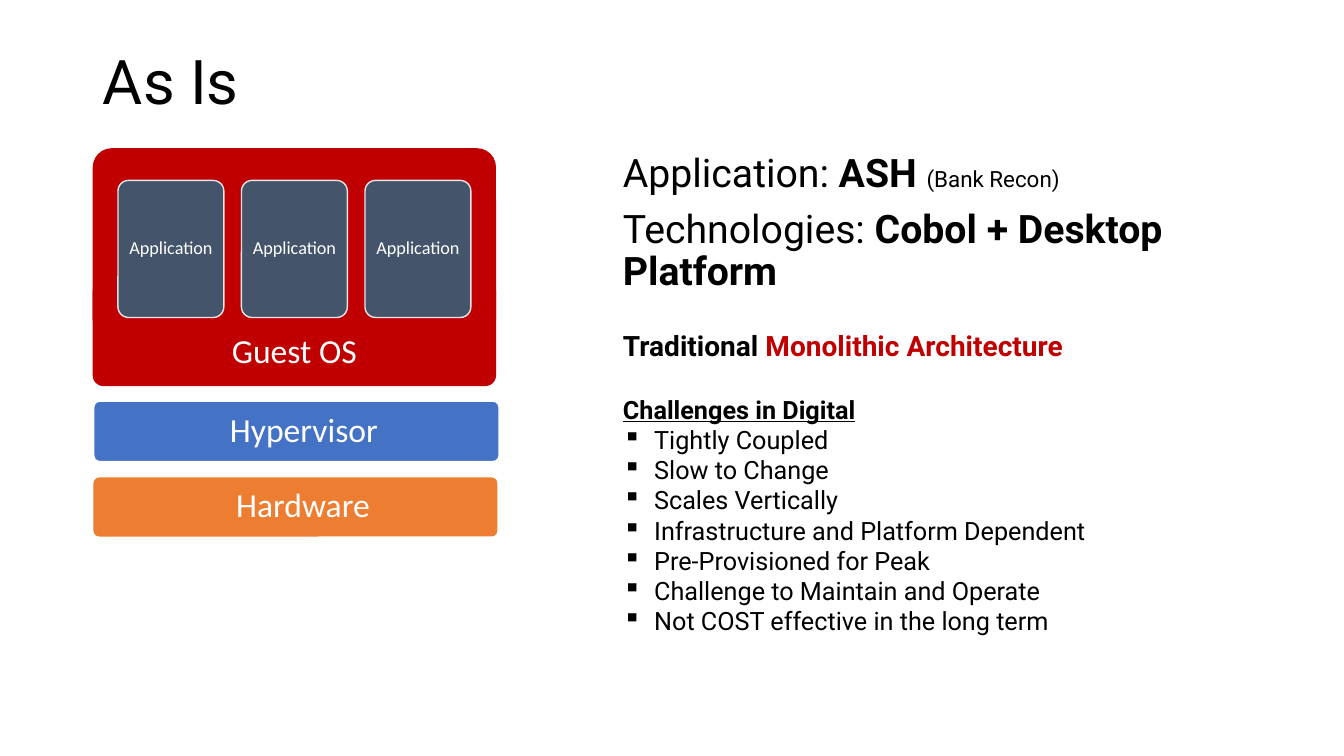
import pptx
import pptx.util
from lxml import etree
from pptx.dml.color import RGBColor
from pptx.enum.shapes import MSO_SHAPE
from pptx.enum.text import MSO_ANCHOR, PP_ALIGN
from pptx.oxml.ns import qn

PX = 9144  # 100 px to the inch
BLACK, WHITE, RED, SLATE, PALE = "000000", "FFFFFF", "C00000", "44546A", "E7E6E6"

TITLE = "As Is"
# Runs: text, size, bold, colour
SUMMARY = [
    [("Application: ", 28, False, BLACK), ("ASH ", 28, True, BLACK),
     ("(Bank Recon)", 16, False, BLACK)],
    [("Technologies: ", 28, False, BLACK),
     ("Cobol + Desktop Platform", 28, True, BLACK)],
]
ARCHITECTURE = [[("Traditional ", 20, True, BLACK),
                 ("Monolithic Architecture", 20, True, RED)]]
CHALLENGES_HEADING = "Challenges in Digital"
CHALLENGES = [
    "Tightly Coupled",
    "Slow to Change",
    "Scales Vertically",
    "Infrastructure and Platform Dependent",
    "Pre-Provisioned for Peak",
    "Challenge to Maintain and Operate",
    "Not COST effective in the long term",
]
# Text, box, fill, line, left inset
LAYERS = [
    ("Hardware", (92, 473, 402, 60), "ED7D31", WHITE, 27),
    ("Hypervisor", (93, 398, 402, 60), "4472C4", WHITE, 27),
]
GUEST_TOP, GUEST_BASE = (92, 147, 400, 189), (92, 278, 400, 105)
APPS = ["Application"] * 3
APP_LEFT, APP_TOP, APP_W, APP_H, APP_STEP = 117, 179, 105, 136, 122.5
TEXT_LEFT = 608


def px(n):
    return pptx.util.Emu(round(n * PX))


def rgb(code):
    return RGBColor.from_string(code)


def style(r, size, bold=False, color=BLACK, font="Roboto"):
    r.font.name = font
    r.font.size = pptx.util.Pt(size)
    r.font.bold = bold
    r.font.color.rgb = rgb(color)


def add_text(slide, box, paragraphs):
    tf = slide.shapes.add_textbox(*map(px, box)).text_frame
    tf.word_wrap = True
    for i, runs in enumerate(paragraphs):
        p = tf.paragraphs[0] if i == 0 else tf.add_paragraph()
        for text, size, bold, color in runs:
            r = p.add_run()
            r.text = text
            style(r, size, bold, color)
    return tf


def add_bullet(p, indent):
    pPr = p._p.get_or_add_pPr()
    pPr.set("marL", str(px(indent)))
    pPr.set("indent", str(-px(indent)))
    etree.SubElement(pPr, qn("a:buChar")).set("char", "▪")


def add_block(slide, box, fill, line=None, text="", size=24,
              anchor=MSO_ANCHOR.MIDDLE, inset=12, left_inset=None):
    sp = slide.shapes.add_shape(MSO_SHAPE.ROUNDED_RECTANGLE, *map(px, box))
    sp.shadow.inherit = False
    sp.adjustments[0] = 0.1
    sp.fill.solid()
    sp.fill.fore_color.rgb = rgb(fill)
    if line:
        sp.line.color.rgb = rgb(line)
        sp.line.width = pptx.util.Pt(1)
    else:
        sp.line.fill.background()
    if text:
        tf = sp.text_frame
        tf.word_wrap = True
        tf.vertical_anchor = anchor
        tf.margin_left = px(left_inset or inset)
        tf.margin_right = tf.margin_top = tf.margin_bottom = px(inset)
        tf.text = text
        p = tf.paragraphs[0]
        p.alignment = PP_ALIGN.CENTER
        p.line_spacing = 0.9
        style(p.runs[0], size, color=WHITE, font="Calibri")


def main():
    prs = pptx.Presentation()
    prs.slide_width, prs.slide_height = px(1333), px(750)
    slide = prs.slides.add_slide(prs.slide_layouts[5])

    title = slide.shapes.title
    title.left, title.top, title.width, title.height = map(px, (92, 40, 1150, 87))
    tf = title.text_frame
    tf.text = TITLE
    tf.vertical_anchor = MSO_ANCHOR.MIDDLE
    p = tf.paragraphs[0]
    p.alignment = PP_ALIGN.LEFT
    p.line_spacing = 0.9
    style(p.runs[0], 44)

    tf = add_text(slide, (TEXT_LEFT, 147, 634, 528), SUMMARY)
    for p in tf.paragraphs:
        p.line_spacing = 0.9
        p.space_before = pptx.util.Pt(10)
    add_text(slide, (TEXT_LEFT, 321, 547, 44), ARCHITECTURE)

    rows = [[(CHALLENGES_HEADING, 18, True, BLACK)]]
    rows += [[(text, 18, False, BLACK)] for text in CHALLENGES]
    heading, *bullets = add_text(slide, (TEXT_LEFT, 386, 575, 252), rows).paragraphs
    heading.runs[0].font.underline = True
    for p in bullets:
        add_bullet(p, 31)

    for text, box, fill, line, left_inset in LAYERS:
        add_block(slide, box, fill, line, text, left_inset=left_inset)
    add_block(slide, GUEST_TOP, RED)
    add_block(slide, GUEST_BASE, RED, text="Guest OS", anchor=MSO_ANCHOR.BOTTOM)
    for i, text in enumerate(APPS):
        box = (APP_LEFT + i * APP_STEP, APP_TOP, APP_W, APP_H)
        add_block(slide, box, SLATE, PALE, text, size=13, inset=7)

    prs.save("out.pptx")


if __name__ == "__main__":
    main()
